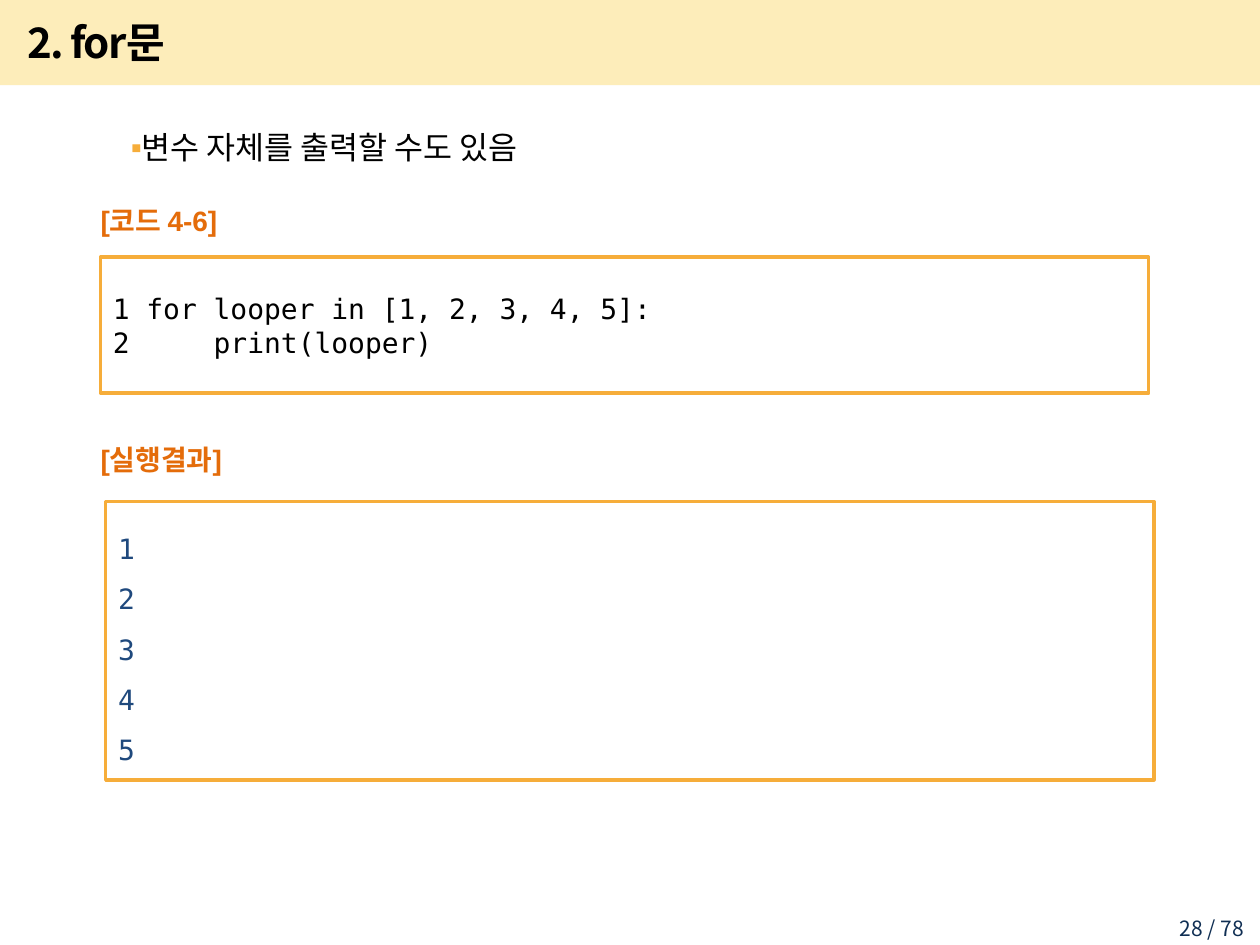
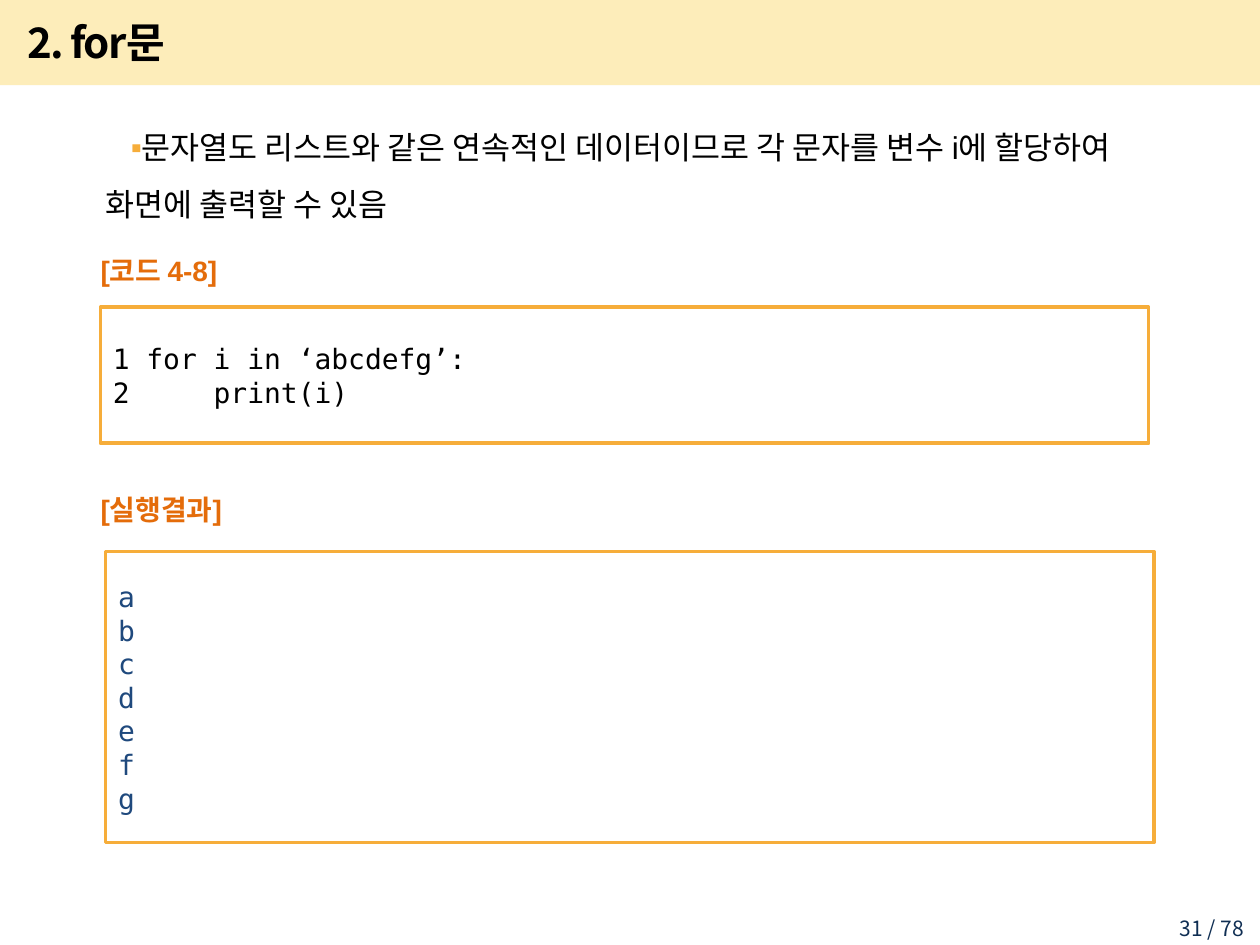
import pptx
import pptx.util
import pptx.dml.color
import pptx.enum.shapes
import pptx.enum.text
import pptx.oxml.ns
from lxml import etree

Pt = pptx.util.Pt
ALIGN = pptx.enum.text.PP_ALIGN
ANCHOR = pptx.enum.text.MSO_ANCHOR

TITLE = "2. for문"
TOTAL = 78
RESULT = "[실행결과]"
SLIDES = [
    {
        "page": 28,
        "point": "변수 자체를 출력할 수도 있음",
        "label": "[코드 4-6]",
        "code": ["1 for looper in [1, 2, 3, 4, 5]:", "2     print(looper)"],
        "output": list("12345"),
        "pitch": 1.5,
        "top": 108,
        "height": 159,
    },
    {
        "page": 31,
        "point": "문자열도 리스트와 같은 연속적인 데이터이므로 각 문자를 변수 i에 할당하여 화면에 출력할 수 있음",
        "label": "[코드 4-8]",
        "code": ["1 for i in ‘abcdefg’:", "2     print(i)"],
        "output": list("abcdefg"),
        "pitch": 1.0,
        "top": 136.6,
        "height": 166.3,
    },
]

COLORS = {
    "band": "FABE00",
    "frame": "F6AD3A",
    "label": "E46C0A",
    "text": "000000",
    "output": "1F497D",
    "page": "0F2E53",
}
SANS, KOREAN, MONO = "Arial", "Noto Sans CJK KR", "DejaVu Sans Mono"

# Offsets from the top of the code label
CODE_DY, RESULT_DY, OUTPUT_DY = 38.9, 134.4, 178.6
BOX_WIDTH = 599


def color(name):
    return pptx.dml.color.RGBColor.from_string(COLORS[name])


def node(parent, tag, **attrs):
    return etree.SubElement(parent, pptx.oxml.ns.qn(tag), attrs)


def write(shape, lines, font, size, hue, bold=False, align=ALIGN.LEFT,
          anchor=ANCHOR.MIDDLE, pitch=1.0):
    """Fill a shape with one paragraph per line and return the paragraphs."""
    frame = shape.text_frame
    frame.word_wrap = True
    frame.vertical_anchor = anchor
    for i, line in enumerate(lines):
        para = frame.add_paragraph() if i else frame.paragraphs[0]
        para.alignment = align
        para.line_spacing = pitch
        run = para.add_run()
        run.text = line
        run.font.name = font
        run.font.size = Pt(size)
        run.font.bold = bold
        run.font.color.rgb = color(hue)
        node(run.font._element, "a:ea", typeface=KOREAN)
    return frame.paragraphs


def text(slide, area, lines, *style, **more):
    box = slide.shapes.add_textbox(*map(Pt, area))
    return write(box, lines, *style, **more)


def rect(slide, area):
    shape = slide.shapes.add_shape(
        pptx.enum.shapes.MSO_SHAPE.RECTANGLE, *map(Pt, area))
    shape.shadow.inherit = False
    return shape


def panel(slide, area, lines, hue, pitch=1.0):
    """Draw a framed box of monospaced lines."""
    box = rect(slide, area)
    box.fill.background()
    box.line.color.rgb = color("frame")
    box.line.width = Pt(2)
    write(box, lines, MONO, 16, hue, pitch=pitch)


def base(slide, page):
    """Add the band, title and page number that every slide has."""
    band = rect(slide, (0, 0, 720, 48.6))
    band.fill.solid()
    band.fill.fore_color.rgb = color("band")
    band.line.fill.background()
    tint = band.fill._xPr.find(".//" + pptx.oxml.ns.qn("a:srgbClr"))
    node(tint, "a:alpha", val="27000")
    head = text(slide, (8.6, 5, 612.7, 37.4), [TITLE], KOREAN, 24, "text", bold=True)
    head[0].runs[0].font._element.set("spc", "-100")
    text(slide, (651.6, 519.8, 66.2, 16.6), [f"{page} / {TOTAL}"], KOREAN, 12,
         "page", align=ALIGN.RIGHT, anchor=ANCHOR.TOP)


def point(slide, line):
    """Add the bulleted statement under the title."""
    para = text(slide, (25.2, 59, 658.8, 476), [line], SANS, 18, "text",
                anchor=ANCHOR.TOP, pitch=1.5)[0]
    para.space_before = Pt(3.6)
    props = para._p.get_or_add_pPr()
    props.set("marL", str(Pt(28.1)))
    props.set("indent", str(Pt(14.4)))
    node(node(props, "a:buClr"), "a:srgbClr", val=COLORS["frame"])
    node(props, "a:buFont", typeface=SANS)
    node(props, "a:buChar", char="▪")


def build(deck, data):
    slide = deck.slides.add_slide(deck.slide_layouts[6])
    top = data["top"]
    base(slide, data["page"])
    point(slide, data["point"])
    for line, y, height in ((data["label"], top, 36), (RESULT, top + RESULT_DY, 39.6)):
        text(slide, (50.4, y, 113, height), [line], SANS, 16, "label", bold=True)
    panel(slide, (57.4, top + CODE_DY, BOX_WIDTH, 77.8), data["code"], "text")
    panel(slide, (60.4, top + OUTPUT_DY, BOX_WIDTH, data["height"]),
          data["output"], "output", data["pitch"])


def main():
    deck = pptx.Presentation()
    deck.slide_width, deck.slide_height = Pt(720), Pt(540)
    for data in SLIDES:
        build(deck, data)
    deck.save("out.pptx")


if __name__ == "__main__":
    main()
